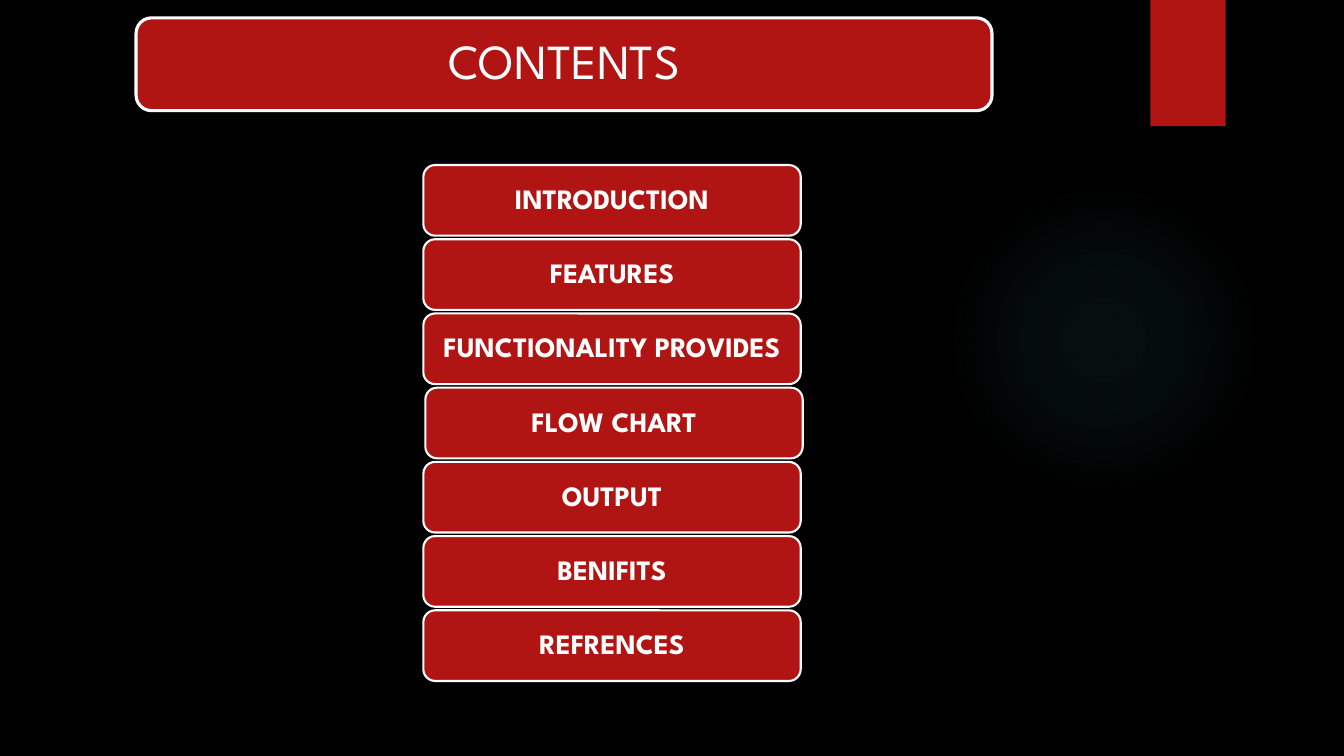
import pptx
import pptx.util
import pptx.dml.color
import pptx.enum.shapes
import pptx.enum.text
import pptx.oxml
from dataclasses import dataclass

Cm = pptx.util.Cm
Pt = pptx.util.Pt
RGBColor = pptx.dml.color.RGBColor
Shapes = pptx.enum.shapes.MSO_SHAPE


@dataclass
class Theme:
    black = RGBColor.from_string("000000")
    red = RGBColor.from_string("B01513")
    white = RGBColor.from_string("FFFFFF")
    glow = "50B9C1"
    font = "League Spartan"
    title_size = Pt(35)
    item_size = Pt(20)


def add_block(kind, left, top, width, height, line_width=None):
    box = page.shapes.add_shape(kind, Cm(left), Cm(top), Cm(width), Cm(height))
    box.shadow.inherit = False
    box.fill.solid()
    box.fill.fore_color.rgb = Theme.red
    if line_width:
        box.line.color.rgb = Theme.white
        box.line.width = Pt(line_width)
    else:
        box.line.fill.background()
    return box


def write_label(box, text, size, bold, side_inset, end_inset):
    frame = box.text_frame
    frame.text = text
    frame.word_wrap = True
    frame.auto_size = pptx.enum.text.MSO_AUTO_SIZE.NONE
    frame.vertical_anchor = pptx.enum.text.MSO_ANCHOR.MIDDLE
    frame.margin_left = frame.margin_right = Cm(side_inset)
    frame.margin_top = frame.margin_bottom = Cm(end_inset)
    para = frame.paragraphs[0]
    para.alignment = pptx.enum.text.PP_ALIGN.CENTER
    para.line_spacing = 0.9
    para.space_before = Pt(0)
    span = para.runs[0]
    span.font.name = Theme.font
    span.font.size = size
    span.font.bold = bold
    span.font.color.rgb = Theme.white


deck = pptx.Presentation()
deck.slide_width = Cm(33.87)
deck.slide_height = Cm(19.05)
page = deck.slides.add_slide(deck.slide_layouts[5])
page.background.fill.solid()
page.background.fill.fore_color.rgb = Theme.black

glow = add_block(Shapes.OVAL, 23.9, 4.65, 7.82, 7.82)
stops = "".join(
    f'<a:gs pos="{position * 1000}"><a:srgbClr val="{Theme.glow}">'
    f'<a:alpha val="{opacity * 1000}"/></a:srgbClr></a:gs>'
    for position, opacity in [(0, 7), (36, 6), (69, 0)]
)
gradient = pptx.oxml.parse_xml(
    '<a:gradFill xmlns:a="http://schemas.openxmlformats.org/drawingml/2006/main">'
    f'<a:gsLst>{stops}</a:gsLst><a:path path="circle">'
    '<a:fillToRect l="50000" t="50000" r="50000" b="50000"/></a:path></a:gradFill>'
)
properties = glow._element.spPr
properties.replace(properties.find(pptx.oxml.ns.qn("a:solidFill")), gradient)

add_block(Shapes.RECTANGLE, 28.99, 0, 1.9, 3.18)
add_block(Shapes.ROUNDED_RECTANGLE, 3.43, 0.45, 21.57, 2.34, 2.25)

title = page.shapes.title
title.left, title.top, title.width, title.height = Cm(3.54), Cm(0.56), Cm(21.35), Cm(2.11)
write_label(title, "CONTENTS", Theme.title_size, False, 0.38, 0.38)
page.shapes._spTree.append(title._element)

items = [
    "INTRODUCTION",
    "FEATURES",
    "FUNCTIONALITY PROVIDES",
    "FLOW CHART",
    "OUTPUT",
    "BENIFITS",
    "REFRENCES",
]
item_left, first_top, item_pitch = 10.67, 4.16, 1.87
for index, item in enumerate(items):
    nudge = 0.05 if item == "FLOW CHART" else 0
    button = add_block(
        Shapes.ROUNDED_RECTANGLE, item_left + nudge, first_top + index * item_pitch, 9.51, 1.78, 1.5
    )
    write_label(button, item, Theme.item_size, True, 0.2, 0.1)

deck.save("out.pptx")
